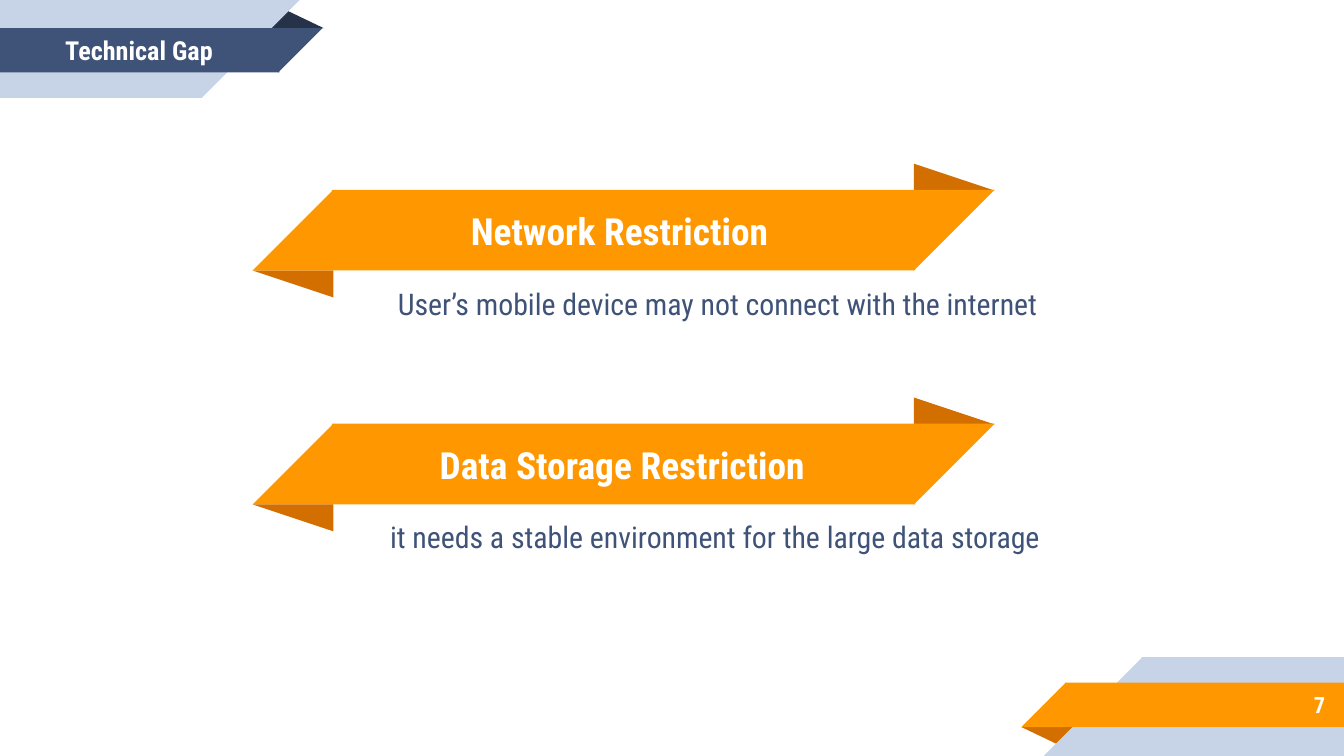
from pptx import Presentation
from pptx import util as u
from pptx.dml.color import RGBColor
from pptx.enum import shapes, text

C = {"navy": "3F5378", "dark": "263248", "pale": "C7D3E6",
     "orange": "FF9800", "rust": "D26F00", "white": "FFFFFF"}
FONT = "Roboto Condensed"
RECT = shapes.MSO_SHAPE.RECTANGLE
CORNER = shapes.MSO_SHAPE.RIGHT_TRIANGLE
FOLD = shapes.MSO_SHAPE.ISOSCELES_TRIANGLE
TOP_LEFT, BOTTOM_RIGHT = 90, 270

prs = Presentation()
prs.slide_width = u.Inches(10)
prs.slide_height = prs.slide_width * 9 // 16
s = prs.slides.add_slide(prs.slide_layouts[5])
col = row = prs.slide_width / 100


def add_part(kind, x, y, w, h, color, turn=0, apex=None):
    sp = s.shapes.add_shape(kind, int(x * col), int(y * row), int(w * col), int(h * row))
    sp.shadow.inherit = False
    sp.fill.solid()
    sp.fill.fore_color.rgb = RGBColor.from_string(C[color])
    sp.line.fill.background()
    sp.rotation = turn
    if apex is not None:
        sp.adjustments[0] = apex


def set_text(sp, x, y, w, h, words, size, color="white", bold=True,
             align=text.PP_ALIGN.CENTER, before=0, after=0):
    sp.left, sp.top, sp.width, sp.height = int(x * col), int(y * row), int(w * col), int(h * row)
    tf = sp.text_frame
    tf.word_wrap = True
    tf.auto_size = text.MSO_AUTO_SIZE.NONE
    tf.vertical_anchor = text.MSO_ANCHOR.MIDDLE
    tf.margin_left = tf.margin_right = tf.margin_top = tf.margin_bottom = u.Inches(0.1)
    p = tf.paragraphs[0]
    p.alignment = align
    p.space_before, p.space_after = u.Pt(before), u.Pt(after)
    r = p.add_run()
    r.text = words
    r.font.name, r.font.size, r.font.bold = FONT, u.Pt(size), bold
    r.font.color.rgb = RGBColor.from_string(C[color])


add_part(FOLD, 19.8, 0.7, 4.3, 1.4, "dark", apex=0.32)
add_part(RECT, 0, 0, 15.05, 7.3, "pale")
add_part(CORNER, 15, 0, 7.3, 7.3, "pale", TOP_LEFT)
add_part(RECT, 0, 2.1, 20.8, 3.3, "navy")
add_part(CORNER, 20.7, 2.1, 3.3, 3.3, "navy", TOP_LEFT)

add_part(FOLD, 76, 54.1, 4.3, 1.4, "rust", 180, 0.32)
add_part(RECT, 84.95, 48.9, 15.05, 7.35, "pale")
add_part(CORNER, 77.65, 48.9, 7.35, 7.35, "pale", BOTTOM_RIGHT)
add_part(RECT, 79.25, 50.8, 20.75, 3.3, "orange")
add_part(CORNER, 76, 50.8, 3.3, 3.3, "orange", BOTTOM_RIGHT)

set_text(s.shapes.add_textbox(0, 0, 0, 0), 83.3, 50.7, 16.3, 3.5, "7", 12,
         align=text.PP_ALIGN.RIGHT)
title = s.shapes.title
title._element.getparent().append(title._element)
set_text(title, -0.1, 2.15, 20.9, 3.1, "Technical Gap", 14)

gaps = [
    ("Network Restriction", 24.7,
     "User’s mobile device may not connect with the internet", 20.35, 57),
    ("Data Storage Restriction", 24.9,
     "it needs a stable environment for the large data storage", 37.65, 56.6),
]
for i, (heading, heading_x, caption, caption_y, caption_w) in enumerate(gaps):
    y = 14.13 + 17.4 * i
    add_part(FOLD, 68, y - 1.95, 6, 2, "rust", apex=0)
    add_part(RECT, 24.7, y, 43.4, 6, "orange")
    add_part(CORNER, 68, y, 6, 6, "orange", TOP_LEFT)
    add_part(CORNER, 18.8, y, 6, 6, "orange", BOTTOM_RIGHT)
    add_part(FOLD, 18.8, y + 6, 6, 2, "rust", 180, 0)
    set_text(s.shapes.add_textbox(0, 0, 0, 0), heading_x, y + 0.1, 42.8, 5.8, heading, 20)
    set_text(s.shapes.add_textbox(0, 0, 0, 0), 24.9, caption_y, caption_w, 4.5, caption, 16,
             "navy", False, before=6, after=10)

prs.save("out.pptx")
